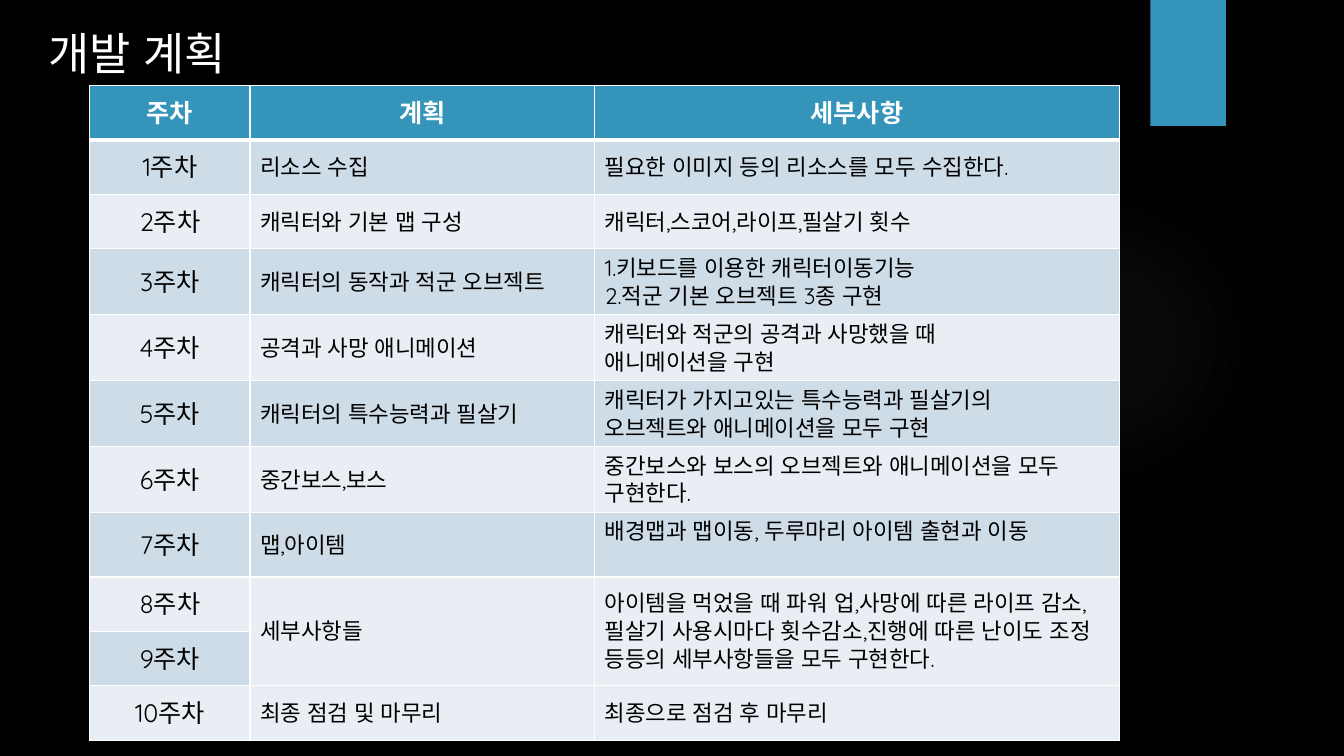
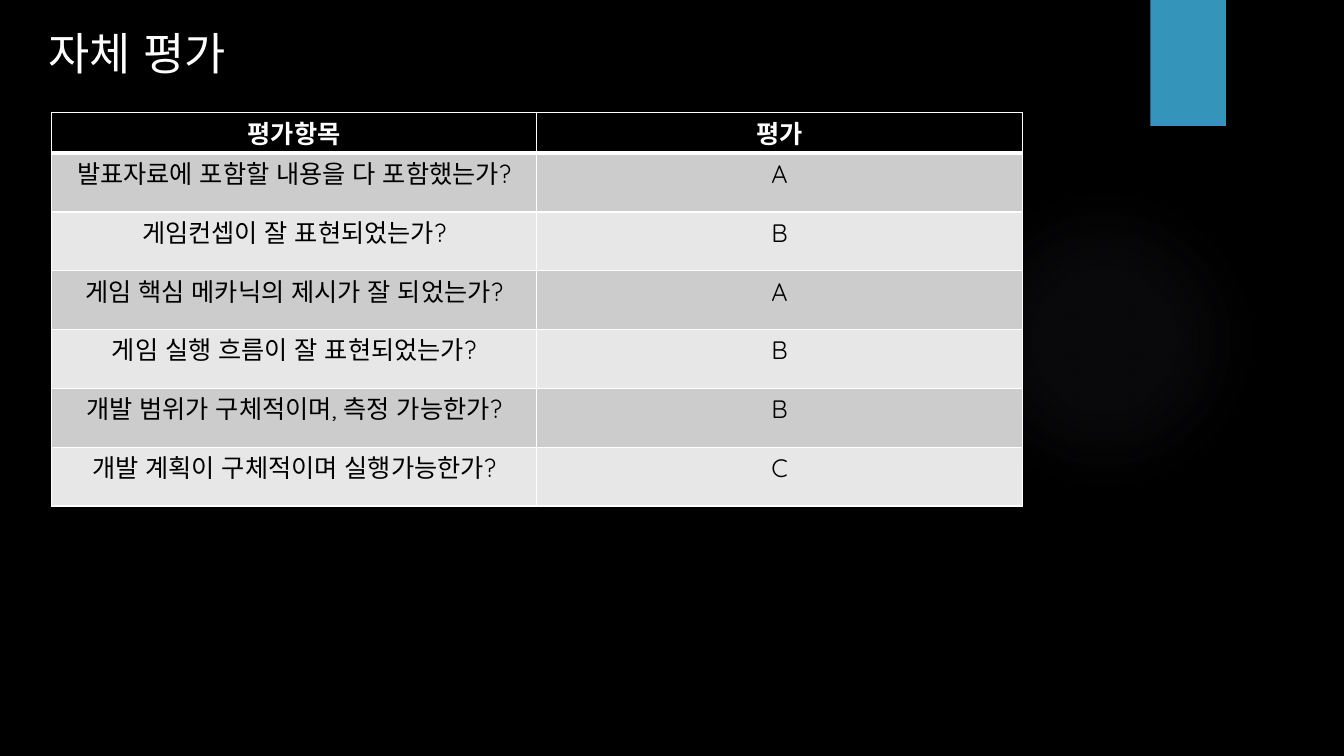
from lxml import etree
from pptx import Presentation
from pptx.dml.color import RGBColor
from pptx.enum.shapes import MSO_SHAPE
from pptx.enum.text import MSO_ANCHOR, MSO_AUTO_SIZE, PP_ALIGN
from pptx.oxml import parse_xml
from pptx.oxml.ns import nsdecls, qn
from pptx.util import Inches, Pt

LEFT, CENTER = PP_ALIGN.LEFT, PP_ALIGN.CENTER
TOP, MIDDLE = MSO_ANCHOR.TOP, MSO_ANCHOR.MIDDLE
RECTANGLE, OVAL = MSO_SHAPE.RECTANGLE, MSO_SHAPE.OVAL
FIT_SHAPE = MSO_AUTO_SIZE.SHAPE_TO_FIT_TEXT

FONT = "Quicksand"
BLACK, WHITE, ACCENT, GLOW = "000000", "FFFFFF", "3494BA", "7F7B9A"
GLOW_STOPS = [(0, 7), (36, 6), (69, 0)]  # position and opacity, percent


def color(hex_string):
    return RGBColor.from_string(hex_string)


def set_font(paragraph, size, hex_string, bold=False):
    """Style a paragraph, with the same typeface for Latin and Korean text."""
    font = paragraph.font
    font.name = FONT
    font.size = Pt(size)
    font.bold = bold
    font.color.rgb = color(hex_string)
    latin = paragraph._p.pPr.find(qn("a:defRPr")).find(qn("a:latin"))
    latin.addnext(parse_xml(f'<a:ea {nsdecls("a")} typeface="{FONT}"/>'))


# Contents
plan = {
    "title": "개발 계획",
    "at": (0.89, 0.85),
    "columns": [1.59, 3.42, 5.2],
    "heights": [0.54] * 3 + [0.65] * 3 + [0.64] * 2 + [0.54] * 3,
    "alignments": [CENTER, LEFT, LEFT],
    "sizes": [18, 16, 16],
    "anchor": MIDDLE,
    "fills": [ACCENT, "CEDCE7", "E8EEF3"],
    "merges": [((8, 1), (9, 1)), ((8, 2), (9, 2))],
    "top_cells": [(7, 2)],
    "rows": [
        ("주차", "계획", "세부사항"),
        ("1주차", "리소스 수집", "필요한 이미지 등의 리소스를 모두 수집한다."),
        ("2주차", "캐릭터와 기본 맵 구성", "캐릭터,스코어,라이프,필살기 횟수"),
        ("3주차", "캐릭터의 동작과 적군 오브젝트",
         "1.키보드를 이용한 캐릭터이동기능\n2.적군 기본 오브젝트 3종 구현"),
        ("4주차", "공격과 사망 애니메이션",
         "캐릭터와 적군의 공격과 사망했을 때\n애니메이션을 구현"),
        ("5주차", "캐릭터의 특수능력과 필살기",
         "캐릭터가 가지고있는 특수능력과 필살기의\n오브젝트와 애니메이션을 모두 구현"),
        ("6주차", "중간보스,보스",
         "중간보스와 보스의 오브젝트와 애니메이션을 모두 구현한다."),
        ("7주차", "맵,아이템", "배경맵과 맵이동, 두루마리 아이템 출현과 이동"),
        ("8주차", "세부사항들",
         "아이템을 먹었을 때 파워 업,사망에 따른 라이프 감소,"
         "필살기 사용시마다 횟수감소,진행에 따른 난이도 조정 "
         "등등의 세부사항들을 모두 구현한다."),
        ("9주차", "", ""),
        ("10주차", "최종 점검 및 마무리", "최종으로 점검 후 마무리"),
    ],
}
evaluation = {
    "title": "자체 평가",
    "at": (0.51, 1.12),
    "columns": [9.63 / 2] * 2,
    "heights": [0.4] + [3.5 / 6] * 6,
    "alignments": [CENTER] * 2,
    "sizes": [18] * 2,
    "anchor": TOP,
    "fills": [BLACK, "CCCCCC", "E7E7E7"],
    "merges": [],
    "top_cells": [],
    "rows": [
        ("평가항목", "평가"),
        ("발표자료에 포함할 내용을 다 포함했는가?", "A"),
        ("게임컨셉이 잘 표현되었는가?", "B"),
        ("게임 핵심 메카닉의 제시가 잘 되었는가?", "A"),
        ("게임 실행 흐름이 잘 표현되었는가?", "B"),
        ("개발 범위가 구체적이며, 측정 가능한가?", "B"),
        ("개발 계획이 구체적이며 실행가능한가?", "C"),
    ],
}

# Presentation with a black background
presentation = Presentation()
presentation.slide_width = Inches(13.33)
presentation.slide_height = Inches(7.5)
background = presentation.slide_master.background.fill
background.solid()
background.fore_color.rgb = color(BLACK)

for content in (plan, evaluation):
    slide = presentation.slides.add_slide(presentation.slide_layouts[6])

    # Soft round glow
    glow = slide.shapes.add_shape(
        OVAL, Inches(9.41), Inches(1.83), Inches(3.08), Inches(3.08))
    glow.shadow.inherit = False
    glow.line.fill.background()
    stops = "".join(
        f'<a:gs pos="{position * 1000}"><a:srgbClr val="{GLOW}">'
        f'<a:alpha val="{opacity * 1000}"/></a:srgbClr></a:gs>'
        for position, opacity in GLOW_STOPS)
    gradient = parse_xml(
        f'<a:gradFill {nsdecls("a")}><a:gsLst>{stops}</a:gsLst>'
        '<a:path path="circle"><a:fillToRect l="50000" t="50000" '
        'r="50000" b="50000"/></a:path></a:gradFill>')
    glow._element.spPr.find(qn("a:prstGeom")).addnext(gradient)

    # Accent band at the top
    band = slide.shapes.add_shape(
        RECTANGLE, Inches(11.41), 0, Inches(0.75), Inches(1.25))
    band.shadow.inherit = False
    band.fill.solid()
    band.fill.fore_color.rgb = color(ACCENT)
    band.line.fill.background()

    # Table grid
    columns, heights = content["columns"], content["heights"]
    left, top = content["at"]
    table = slide.shapes.add_table(
        len(heights), len(columns), Inches(left), Inches(top),
        Inches(sum(columns)), Inches(sum(heights))).table
    for column, width in zip(table.columns, columns):
        column.width = Inches(width)
    for row, height in zip(table.rows, heights):
        row.height = Inches(height)
    for first, last in content["merges"]:
        table.cell(*first).merge(table.cell(*last))

    # Table cells: a header row, then alternating fills
    header_fill, odd_fill, even_fill = content["fills"]
    for row_index, texts in enumerate(content["rows"]):
        is_header = row_index == 0
        row_fill = odd_fill if row_index % 2 else even_fill
        borders = {"a:lnL": 1, "a:lnR": 1,
                   "a:lnT": 3 if row_index == 1 else 1,
                   "a:lnB": 3 if is_header else 1}
        for column_index, text in enumerate(texts):
            cell = table.cell(row_index, column_index)
            cell.fill.solid()
            cell.fill.fore_color.rgb = color(header_fill if is_header else row_fill)

            # White borders, placed ahead of the fill
            for index, (tag, width) in enumerate(borders.items()):
                line = etree.Element(qn(tag), w=str(Pt(width)))
                line_fill = etree.SubElement(line, qn("a:solidFill"))
                etree.SubElement(line_fill, qn("a:srgbClr"), val=WHITE)
                cell._tc.tcPr.insert(index, line)

            if cell.is_spanned:
                continue
            is_top = (row_index, column_index) in content["top_cells"]
            cell.vertical_anchor = TOP if is_top else content["anchor"]
            cell.text = text
            for paragraph in cell.text_frame.paragraphs:
                if is_header:
                    paragraph.alignment = CENTER
                    set_font(paragraph, 18, WHITE, bold=True)
                else:
                    paragraph.alignment = content["alignments"][column_index]
                    set_font(paragraph, content["sizes"][column_index], BLACK)

    # Title
    title = slide.shapes.add_textbox(
        Inches(0.38), Inches(0.21), Inches(4.56), Inches(0.64))
    title.text_frame.word_wrap = True
    title.text_frame.auto_size = FIT_SHAPE
    title.text_frame.text = content["title"]
    set_font(title.text_frame.paragraphs[0], 32, WHITE)

presentation.save("out.pptx")
